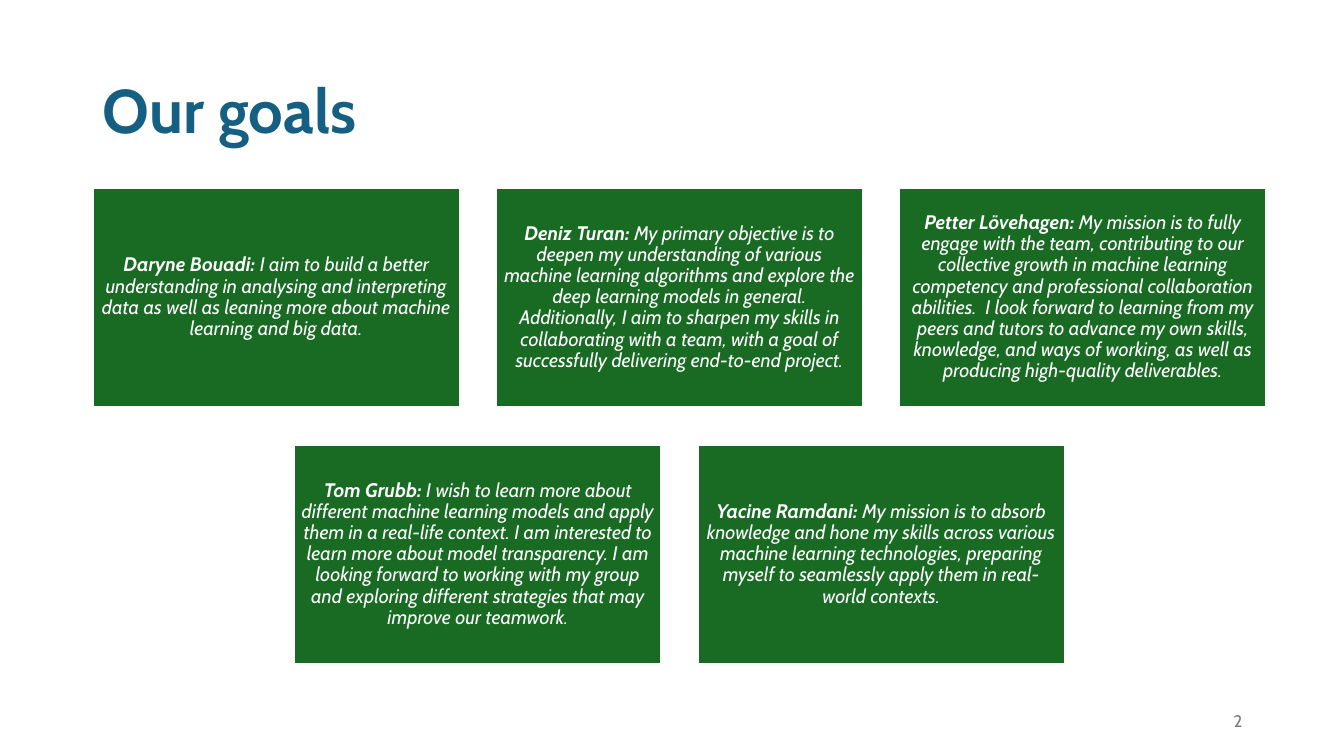
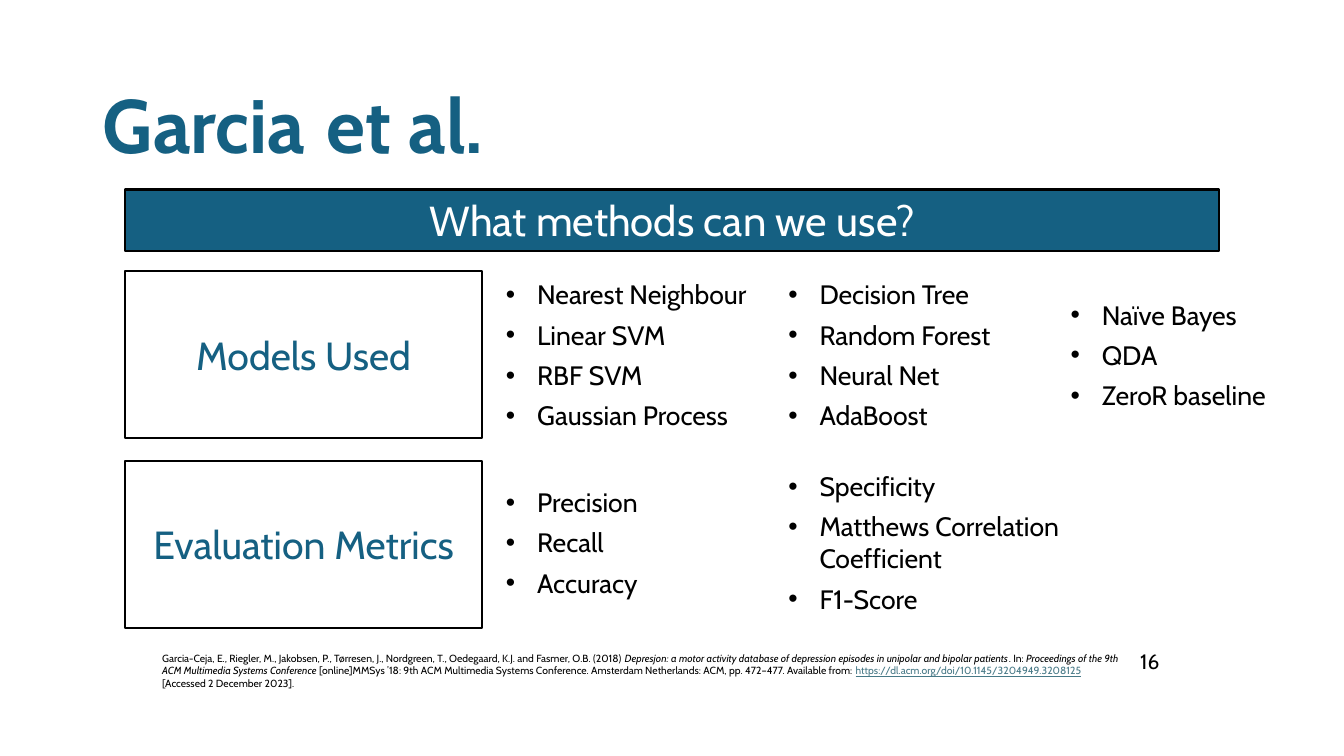
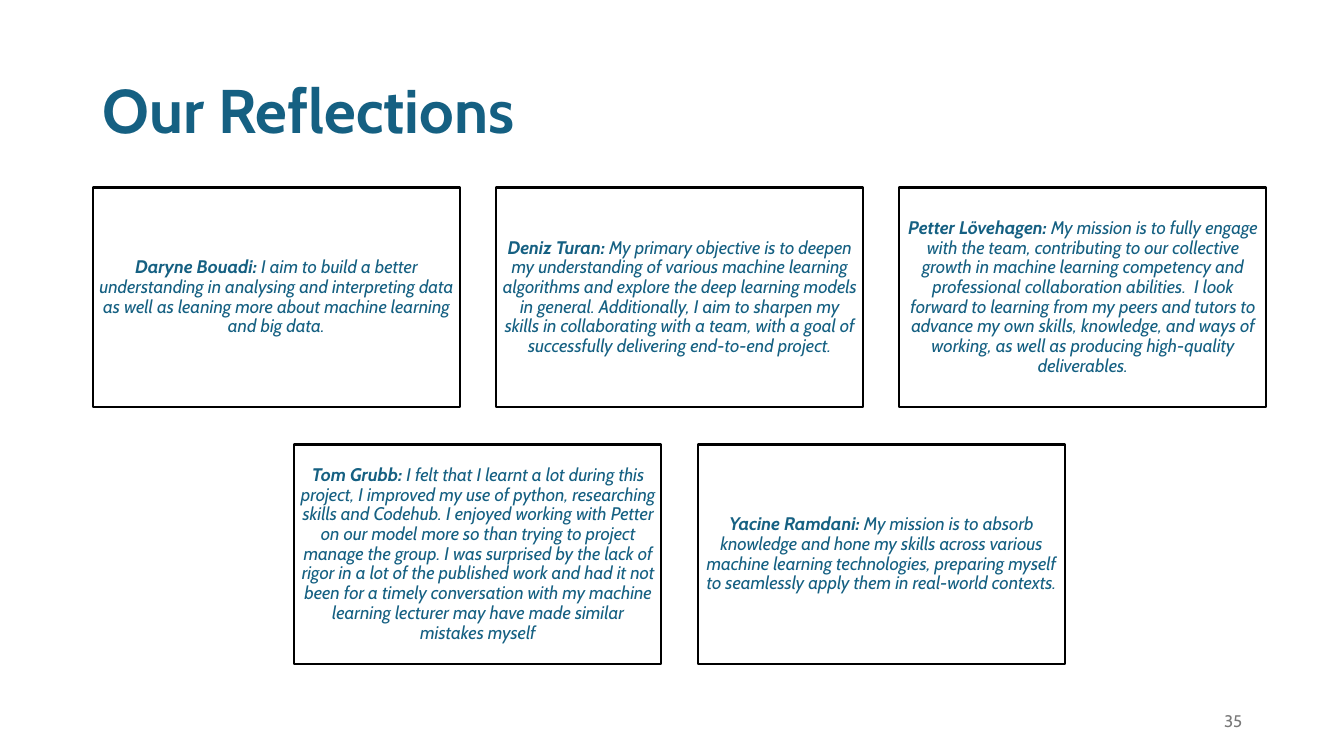
from dataclasses import dataclass
from typing import NamedTuple

from lxml.etree import SubElement
from pptx import Presentation
from pptx.dml.color import RGBColor
from pptx.enum.shapes import MSO_SHAPE as Shape
from pptx.enum.text import MSO_ANCHOR as Anchor, PP_ALIGN as Align
from pptx.oxml.ns import qn
from pptx.util import Inches, Pt

FONT = "Cabin"
BLUE, GREEN, BLACK, WHITE = "156082", "196B24", "000000", "FFFFFF"
GREY, LINK = "797979", "467886"


class Frame(NamedTuple):
    """A position and size in inches."""
    left: float
    top: float
    width: float
    height: float

    def lengths(self) -> list:
        return [Inches(value) for value in self]


class Span(NamedTuple):
    """A piece of text with what differs from its paragraph."""
    text: str
    bold: bool | None = None
    italic: bool | None = None
    size: float | None = None
    color: str | None = None
    underline: bool | None = None


@dataclass(frozen=True)
class Style:
    """The look of every paragraph in one box."""
    size: float
    color: str = BLACK
    bold: bool = False
    italic: bool = False
    align: Align = Align.LEFT
    anchor: Anchor = Anchor.MIDDLE
    inset: float | None = None
    line_spacing: float | None = None
    space_after: float = 0
    bullet: bool = False


@dataclass(frozen=True)
class Panel:
    """The fill, optional outline and text style of a rectangle."""
    fill: str
    line: str | None
    style: Style


class BulletList(NamedTuple):
    """A bulleted list and where it stands."""
    frame: Frame
    items: list[str]


TITLE_FRAME = Frame(0.92, 0.4, 11.5, 1.45)
TITLE = Style(44, BLUE, bold=True, line_spacing=0.9)
PAPER_TITLE = Style(54, BLUE, bold=True, line_spacing=0.9)
FOOTER_FRAME = Frame(9.42, 6.95, 3, 0.4)
FOOTER = Style(12, GREY, align=Align.RIGHT)
CITATION = Style(7.4, anchor=Anchor.TOP, space_after=6)
PAPER_NUMBER = Style(14.9, anchor=Anchor.TOP, space_after=6)

GOAL_CARD = Panel(GREEN, WHITE, Style(
    14, WHITE, italic=True, align=Align.CENTER, inset=0.06, line_spacing=0.9))
REFLECTION_CARD = Panel(WHITE, BLACK, Style(
    13, BLUE, italic=True, align=Align.CENTER, inset=0.05, line_spacing=0.9))
BANNER = Panel(BLUE, BLACK, Style(29.9, WHITE, align=Align.CENTER, space_after=6))
LABEL = Panel(WHITE, BLACK, Style(28, BLUE, align=Align.CENTER, space_after=6))
BULLETS = Panel(WHITE, None, Style(19, space_after=6, bullet=True))

CARD_WIDTH, CARD_HEIGHT, CARD_GAP = 3.64, 2.18, 0.36
CARDS_LEFT, CARDS_TOP, CARDS_PER_ROW = 0.92, 1.86, 3
CARD_ROW_STEP = 2.55
LABEL_LEFT, LIST_LEFT, LIST_STEP, LIST_WIDTH = 1.24, 4.92, 2.8, 2.67
LABEL_WIDTH, ROW_HEIGHT = 3.54, 1.66
MODELS_TOP, METRICS_TOP, METRIC_LISTS_TOP = 2.69, 4.57, 4.55

GOALS = {
    "Daryne Bouadi": "I aim to build a better understanding in analysing and "
    "interpreting data as well as leaning more about machine learning and big data.",
    "Deniz Turan": "My primary objective is to deepen my understanding of various "
    "machine learning algorithms and explore the deep learning models in general. "
    "Additionally, I aim to sharpen my skills in collaborating with a team, with a "
    "goal of successfully delivering end-to-end project.",
    "Petter Lövehagen": "My mission is to fully engage with the team, contributing to "
    "our collective growth in machine learning competency and professional "
    "collaboration abilities.  I look forward to learning from my peers and tutors to "
    "advance my own skills, knowledge, and ways of working, as well as producing "
    "high-quality deliverables.",
    "Tom Grubb": "I wish to learn more about different machine learning models and "
    "apply them in a real-life context. I am interested to learn more about model "
    "transparency. I am looking forward to working with my group and exploring "
    "different strategies that may improve our teamwork.",
    "Yacine Ramdani": "My mission is to absorb knowledge and hone my skills across "
    "various machine learning technologies, preparing myself to seamlessly apply them "
    "in real-world contexts.",
}
REFLECTIONS = GOALS | {
    "Tom Grubb": "I felt that I learnt a lot during this project, I improved my use of "
    "python, researching skills and Codehub. I enjoyed working with Petter on our model "
    "more so than trying to project manage the group. I was surprised by the lack of "
    "rigor in a lot of the published work and had it not been for a timely conversation "
    "with my machine learning lecturer may have made similar mistakes myself",
}
REFERENCE = [
    Span("Garcia-Ceja, E., Riegler, M., Jakobsen, P., Tørresen, J., Nordgreen, T., "
         "Oedegaard, K.J. and Fasmer, O.B. (2018) "),
    Span("Depresjon: a motor activity database of depression episodes in unipolar and "
         "bipolar patients", italic=True),
    Span(". In: "),
    Span("Proceedings of the 9th ACM Multimedia Systems Conference", italic=True),
    Span(" [online]MMSys ’18: 9th ACM Multimedia Systems Conference. Amsterdam "
         "Netherlands: ACM, pp. 472–477. Available from: "),
    Span("https://dl.acm.org/doi/10.1145/3204949.3208125", color=LINK, underline=True),
    Span(" [Accessed 2 December 2023]."),
]
METHOD_LISTS = [
    BulletList(Frame(LIST_LEFT + column * LIST_STEP, top, width, ROW_HEIGHT), items)
    for column, top, width, items in [
        (0, MODELS_TOP, LIST_WIDTH,
         ["Nearest Neighbour", "Linear SVM", "RBF SVM", "Gaussian Process"]),
        (1, MODELS_TOP, LIST_WIDTH,
         ["Decision Tree", "Random Forest", "Neural Net", "AdaBoost"]),
        (2, MODELS_TOP, LIST_WIDTH, ["Naïve Bayes", "QDA", "ZeroR baseline"]),
        (0, METRIC_LISTS_TOP, LIST_WIDTH, ["Precision", "Recall", "Accuracy"]),
        (1, METRIC_LISTS_TOP, 4,
         ["Specificity", "Matthews Correlation Coefficient", "F1-Score"]),
    ]
]


def rgb(color: str) -> RGBColor:
    """Turn a hex string into a colour."""
    return RGBColor.from_string(color)


def add_bullet(para) -> None:
    """Give a paragraph a bullet and a hanging indent."""
    properties = para._p.get_or_add_pPr()
    properties.set("marL", str(Inches(0.31)))
    properties.set("indent", str(Inches(-0.31)))
    SubElement(properties, qn("a:buFont")).set("typeface", "Arial")
    SubElement(properties, qn("a:buChar")).set("char", "•")


def add_span(para, span: Span) -> None:
    """Append a run with its own deviations."""
    run = para.add_run()
    run.text = span.text
    for name in ("bold", "italic", "underline"):
        if getattr(span, name) is not None:
            setattr(run.font, name, getattr(span, name))
    if span.size:
        run.font.size = Pt(span.size)
    if span.color:
        run.font.color.rgb = rgb(span.color)


def write(box, paragraphs: list[list[Span]], style: Style) -> None:
    """Fill a box with paragraphs in one style."""
    text = box.text_frame
    text.word_wrap = True
    text.vertical_anchor = style.anchor
    if style.inset is not None:
        text.margin_left = text.margin_right = Inches(style.inset)
        text.margin_top = text.margin_bottom = Inches(style.inset)
    for index, spans in enumerate(paragraphs):
        para = text.add_paragraph() if index else text.paragraphs[0]
        para.alignment = style.align
        para.space_after = Pt(style.space_after)
        if style.line_spacing:
            para.line_spacing = style.line_spacing
        if style.bullet:
            add_bullet(para)
        para.font.name = FONT
        para.font.size = Pt(style.size)
        para.font.bold = style.bold
        para.font.italic = style.italic
        para.font.color.rgb = rgb(style.color)
        for span in spans:
            add_span(para, span)


def add_text(page, frame: Frame, spans: list[Span], style: Style) -> None:
    """Add a text box with one paragraph."""
    write(page.shapes.add_textbox(*frame.lengths()), [spans], style)


def add_panel(page, frame: Frame, paragraphs: list[list[Span]], panel: Panel) -> None:
    """Add a filled rectangle with text, outlined where the panel says so."""
    box = page.shapes.add_shape(Shape.RECTANGLE, *frame.lengths())
    box.shadow.inherit = False
    box.fill.solid()
    box.fill.fore_color.rgb = rgb(panel.fill)
    if panel.line:
        box.line.color.rgb = rgb(panel.line)
        box.line.width = Pt(1.5)
    else:
        box.line.fill.background()
    write(box, paragraphs, panel.style)


def add_page(deck, spans: list[Span], frame: Frame = TITLE_FRAME, style: Style = TITLE):
    """Add a title-only slide with its title."""
    page = deck.slides.add_slide(deck.slide_layouts[5])
    title = page.shapes.title
    title.left, title.top, title.width, title.height = frame.lengths()
    write(title, [spans], style)
    return page


def add_cards_page(deck, title: str, number: int, statements: dict[str, str],
                   panel: Panel) -> None:
    """Add a slide of statement cards in centred rows."""
    page = add_page(deck, [Span(title)])
    add_text(page, FOOTER_FRAME, [Span(str(number))], FOOTER)
    step = CARD_WIDTH + CARD_GAP
    for index, (name, statement) in enumerate(statements.items()):
        row, column = divmod(index, CARDS_PER_ROW)
        in_row = min(CARDS_PER_ROW, len(statements) - row * CARDS_PER_ROW)
        left = CARDS_LEFT + (column + (CARDS_PER_ROW - in_row) / 2) * step
        frame = Frame(left, CARDS_TOP + row * CARD_ROW_STEP, CARD_WIDTH, CARD_HEIGHT)
        add_panel(page, frame, [[Span(f"{name}: ", bold=True), Span(statement)]], panel)


def add_methods_page(deck) -> None:
    """Add the slide on models and metrics of one paper."""
    title = [Span("Garcia"), Span(" ", bold=False, size=66), Span("et al.")]
    page = add_page(deck, title, Frame(0.92, 0.61, 11.5, 1.24), PAPER_TITLE)
    add_text(page, Frame(1.51, 6.42, 9.73, 0.62), REFERENCE, CITATION)
    add_text(page, Frame(11.21, 6.39, 0.82, 0.33), [Span("16")], PAPER_NUMBER)
    add_panel(page, Frame(LABEL_LEFT, 1.88, 10.85, 0.61),
              [[Span("What methods can we use?")]], BANNER)
    for label, top in (("Models Used", MODELS_TOP), ("Evaluation Metrics", METRICS_TOP)):
        add_panel(page, Frame(LABEL_LEFT, top, LABEL_WIDTH, ROW_HEIGHT),
                  [[Span(label)]], LABEL)
    for frame, items in METHOD_LISTS:
        add_panel(page, frame, [[Span(item)] for item in items], BULLETS)


def main() -> None:
    """Build and save the deck."""
    deck = Presentation()
    deck.slide_width, deck.slide_height = Inches(13.33), Inches(7.5)
    add_cards_page(deck, "Our goals", 2, GOALS, GOAL_CARD)
    add_methods_page(deck)
    add_cards_page(deck, "Our Reflections", 35, REFLECTIONS, REFLECTION_CARD)
    deck.save("out.pptx")


if __name__ == "__main__":
    main()
